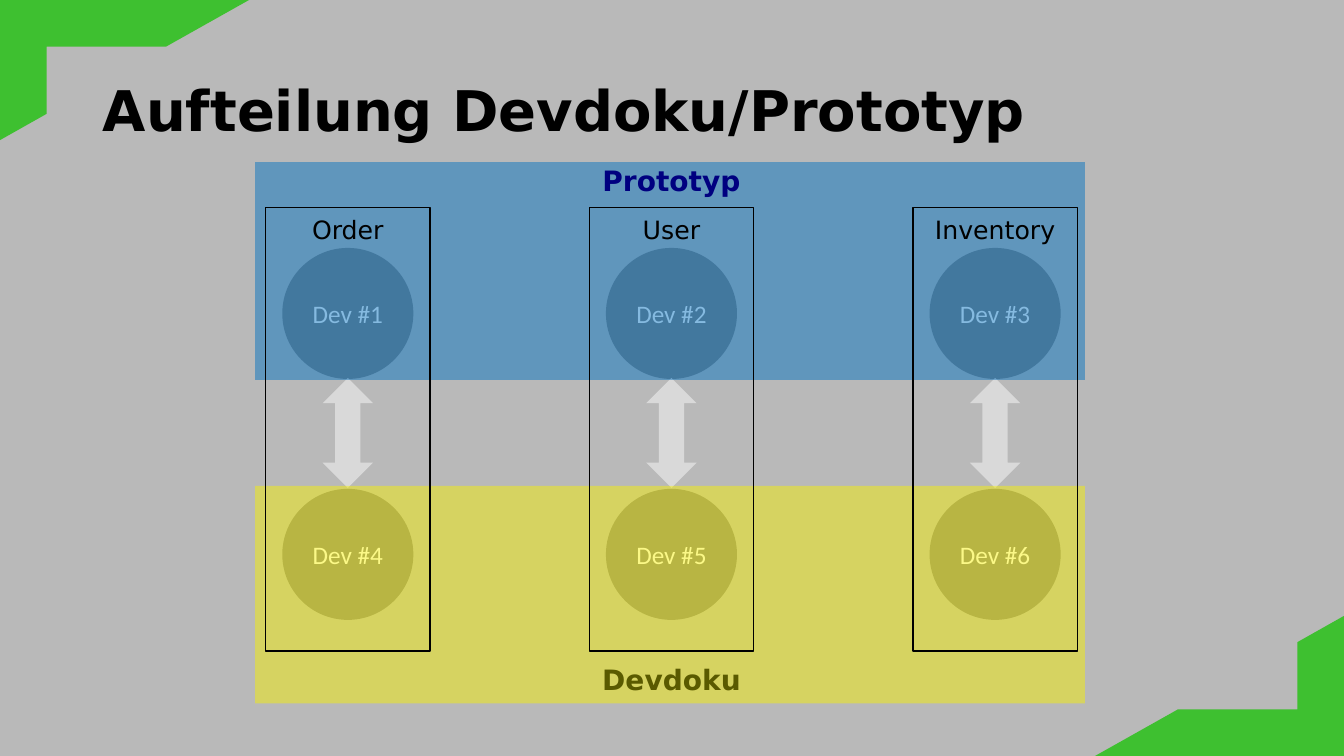
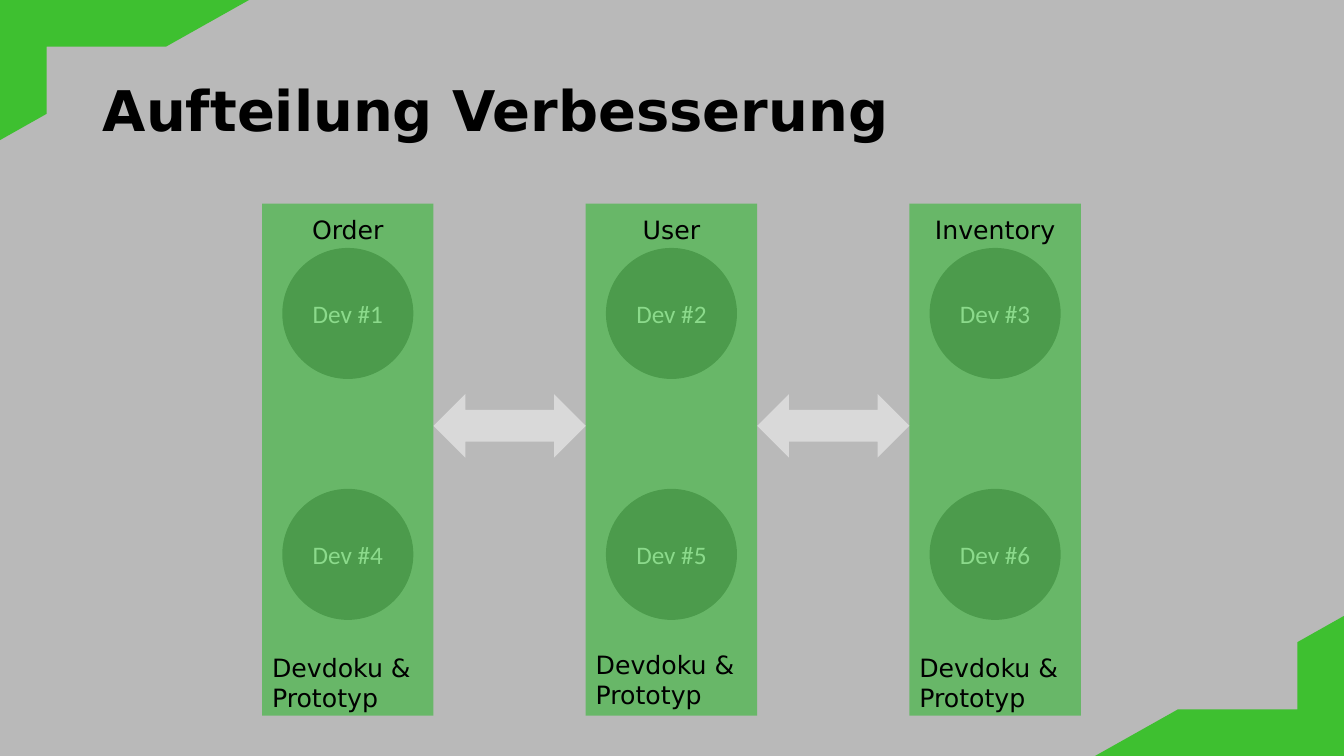
from pptx import Presentation
from pptx.dml.color import RGBColor
from pptx.enum.shapes import MSO_SHAPE as SHAPE
from pptx.enum.text import MSO_ANCHOR as ANCHOR, MSO_AUTO_SIZE as AUTO, PP_ALIGN as ALIGN
from pptx.oxml.ns import qn
from pptx.util import Inches, Pt
from lxml.etree import SubElement

COLORS = {
    "background": "B9B9B9", "corner": "20C20E", "dev": "808080", "arrow": "D9D9D9",
    "prototype": "0070C0", "docs": "F8F200", "team": "19B719",
    "prototype_text": "000080", "docs_text": "5A5A00", "black": "000000", "white": "FFFFFF",
}
FONT = "DejaVu Sans"
TEAMS = ["Order", "User", "Inventory"]
CENTERS = [3.45 + 3.21 * i for i in range(3)]
DEV_ROWS = [2.46, 4.85]
DEV_SIZE = 1.3
LANE_W = 1.63
TEAM_W = 1.7


def color(name):
    """Return the named colour."""
    return RGBColor.from_string(COLORS[name])


def write(tf, text, *, size=18, font=FONT, fill="black", bold=False,
          align=ALIGN.CENTER, anchor=ANCHOR.TOP, spacing=None):
    """Put one formatted paragraph into a text frame."""
    tf.word_wrap = True
    tf.auto_size = AUTO.NONE
    tf.vertical_anchor = anchor
    p = tf.paragraphs[0]
    p.alignment = align
    p.line_spacing = spacing
    r = p.add_run()
    r.text = text
    r.font.size, r.font.name, r.font.bold = Pt(size), font, bold
    r.font.color.rgb = color(fill)


def add_shape(s, kind, x, y, w, h, *, fill=None, alpha=None, line=None):
    """Add a flat preset shape with optional fill, opacity and outline."""
    sp = s.shapes.add_shape(kind, Inches(x), Inches(y), Inches(w), Inches(h))
    sp.shadow.inherit = False
    if fill:
        sp.fill.solid()
        sp.fill.fore_color.rgb = color(fill)
    else:
        sp.fill.background()
    if alpha:
        rgb = sp.fill._xPr.find(f"{qn('a:solidFill')}/{qn('a:srgbClr')}")
        SubElement(rgb, qn("a:alpha")).set("val", str(alpha * 1000))
    if line:
        sp.line.color.rgb = color(line)
        sp.line.width = Pt(1)
    else:
        sp.line.fill.background()
    return sp


def add_label(s, text, x, y, w, h, **fmt):
    """Add a text box."""
    sp = s.shapes.add_textbox(Inches(x), Inches(y), Inches(w), Inches(h))
    write(sp.text_frame, text, **fmt)


def add_slide(prs, title):
    """Add a slide with background, corner frames and title."""
    s = prs.slides.add_slide(prs.slide_layouts[5])
    s.background.fill.solid()
    s.background.fill.fore_color.rgb = color("background")
    for x, y, angle in [(0, 0, 0), (10.86, 6.11, 180)]:
        corner = add_shape(s, SHAPE.HALF_FRAME, x, y, 2.47, 1.39, fill="corner", alpha=80)
        corner.rotation = angle
    sp = s.shapes.title
    sp.left, sp.top, sp.width, sp.height = map(Inches, (0.92, 0.4, 11.5, 1.45))
    write(sp.text_frame, title, size=40, bold=True, align=ALIGN.LEFT,
          anchor=ANCHOR.MIDDLE, spacing=0.9)
    return s


def add_devs(s):
    """Add the numbered developer circles, row by row."""
    for row, y in enumerate(DEV_ROWS):
        for col, cx in enumerate(CENTERS):
            sp = add_shape(s, SHAPE.OVAL, cx - DEV_SIZE / 2, y, DEV_SIZE, DEV_SIZE, fill="dev")
            write(sp.text_frame, f"Dev #{row * len(CENTERS) + col + 1}",
                  font="Calibri", fill="white", anchor=ANCHOR.MIDDLE)


def add_team_names(s):
    """Add the team name above each column."""
    for name, cx in zip(TEAMS, CENTERS):
        add_label(s, name, cx - LANE_W / 2, 2.08, LANE_W, 0.4)


def build_current_split(prs):
    """Build the slide that splits the work by deliverable."""
    s = add_slide(prs, "Aufteilung Devdoku/Prototyp")
    add_devs(s)
    for cx in CENTERS:
        add_shape(s, SHAPE.UP_DOWN_ARROW, cx - 0.25, 3.75, 0.5, 1.09, fill="arrow")
    for name, band_y, text_y, fill, alpha in [("Prototyp", 1.61, 1.57, "prototype", 48),
                                              ("Devdoku", 4.82, 6.52, "docs", 47)]:
        add_shape(s, SHAPE.RECTANGLE, 2.53, band_y, 8.23, 2.16, fill=fill, alpha=alpha)
        add_label(s, name, 3.62, text_y, 6.08, 0.44, size=20, bold=True, fill=f"{fill}_text")
    for cx in CENTERS:
        add_shape(s, SHAPE.RECTANGLE, cx - LANE_W / 2, 2.06, LANE_W, 4.4, line="black")
    add_team_names(s)


def build_improved_split(prs):
    """Build the slide that splits the work by team."""
    s = add_slide(prs, "Aufteilung Verbesserung")
    add_devs(s)
    lefts = [cx - TEAM_W / 2 for cx in CENTERS]
    for x in lefts:
        add_shape(s, SHAPE.RECTANGLE, x, 2.02, TEAM_W, 5.08, fill="team", alpha=50)
    for x, following in zip(lefts, lefts[1:]):
        right = x + TEAM_W
        add_shape(s, SHAPE.LEFT_RIGHT_ARROW, right, 3.91, following - right, 0.63, fill="arrow")
    for x, y in zip(lefts, [6.42, 6.39, 6.42]):
        add_label(s, "Devdoku & Prototyp", x, y, TEAM_W, 0.71, align=ALIGN.LEFT)
    add_team_names(s)


def main():
    """Build and save the presentation."""
    prs = Presentation()
    prs.slide_width, prs.slide_height = Inches(13.33), Inches(7.5)
    build_current_split(prs)
    build_improved_split(prs)
    prs.save("out.pptx")


if __name__ == "__main__":
    main()
